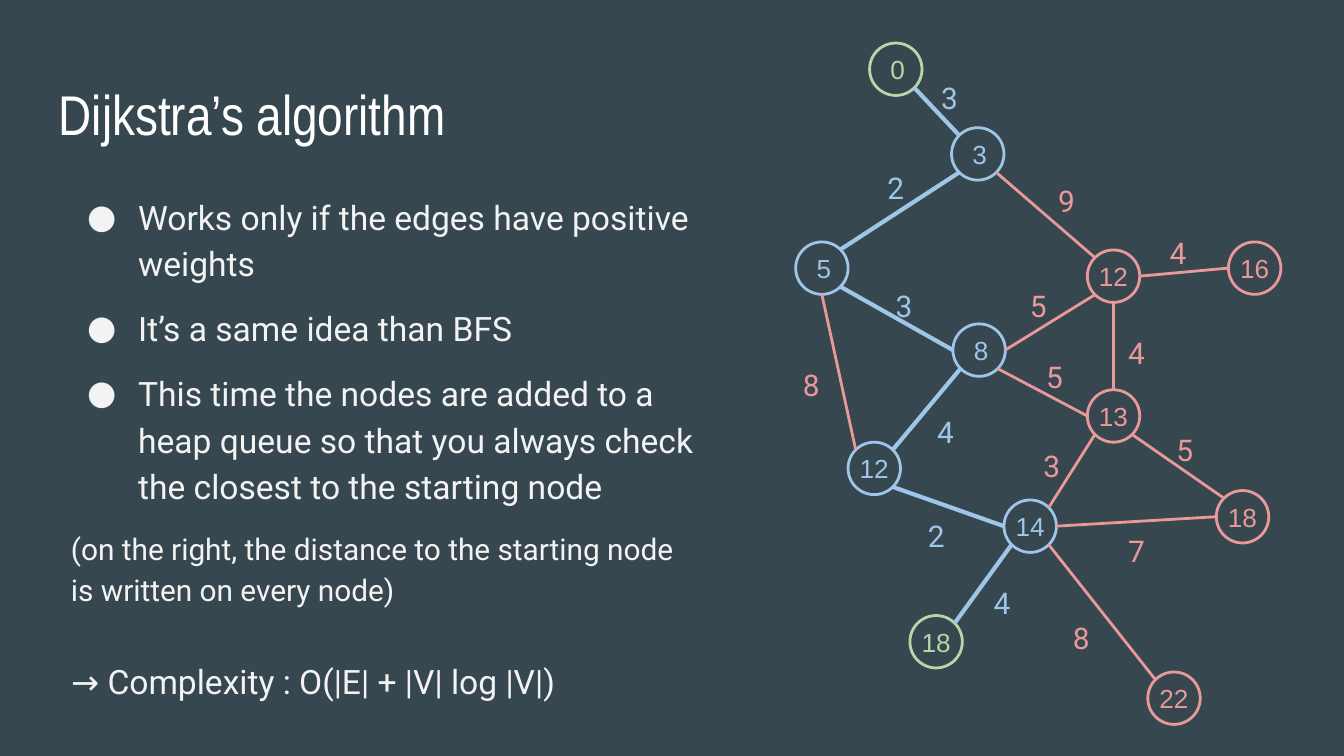
import math

from lxml import etree
from pptx import Presentation
from pptx import util as u
from pptx.dml.color import RGBColor
from pptx.enum import shapes, text
from pptx.oxml import ns

SLATE = RGBColor(0x37, 0x47, 0x4F)
WHITE = RGBColor(0xFF, 0xFF, 0xFF)
PALE = RGBColor(0xF3, 0xF3, 0xF3)
BLUE = RGBColor(0x9F, 0xC5, 0xE8)
RED = RGBColor(0xEA, 0x99, 0x99)
GREEN = RGBColor(0xB6, 0xD7, 0xA8)

WIDTH = u.Inches(10)
HEIGHT = WIDTH * 9 // 16
CELL = WIDTH / 100
NODE_SIZE = 3.9
LABEL_SIZE = (4.9, 4.5)
INSET = 1

SITES = {"E": 0, "SE": 45, "S": 90, "SW": 135, "W": 180, "NW": 225, "N": 270, "NE": 315}

NODES = {
    "start": ("0", 64.7, 3.2, GREEN),
    "three": ("3", 70.8, 9.5, BLUE),
    "five": ("5", 59.2, 18, BLUE),
    "eight": ("8", 70.9, 24.1, BLUE),
    "lower twelve": ("12", 63.1, 32.9, BLUE),
    "fourteen": ("14", 74.7, 37.2, BLUE),
    "goal": ("18", 67.7, 45.8, GREEN),
    "upper twelve": ("12", 80.9, 18.6, RED),
    "sixteen": ("16", 91.4, 18, RED),
    "thirteen": ("13", 80.9, 29, RED),
    "eighteen": ("18", 90.5, 36.5, RED),
    "twenty-two": ("22", 85.4, 50, RED),
}

EDGES = [
    ("start", "SE", "three", "NW", BLUE, "3", 68.2, 4.5),
    ("five", "NE", "three", "SW", BLUE, "2", 64.2, 11.2),
    ("five", "SE", "eight", "W", BLUE, "3", 64.8, 20),
    ("eight", "SW", "lower twelve", "NE", BLUE, "4", 67.9, 29.4),
    ("lower twelve", "SE", "fourteen", "W", BLUE, "2", 67.2, 37.1),
    ("goal", "NE", "fourteen", "SW", BLUE, "4", 72.1, 42.1),
    ("five", "S", "lower twelve", "NW", RED, "8", 57.9, 25.9),
    ("upper twelve", "NW", "three", "SE", RED, "9", 76.9, 12.2),
    ("upper twelve", "E", "sixteen", "W", RED, "4", 85.2, 16.1),
    ("eight", "E", "upper twelve", "SW", RED, "5", 74.8, 20),
    ("eight", "SE", "thirteen", "W", RED, "5", 76, 25.3),
    ("thirteen", "N", "upper twelve", "S", RED, "4", 82.1, 23.5),
    ("fourteen", "NE", "thirteen", "SW", RED, "3", 75.8, 31.9),
    ("thirteen", "SE", "eighteen", "NW", RED, "5", 85.7, 30.7),
    ("fourteen", "E", "eighteen", "W", RED, "7", 82.1, 38.2),
    ("twenty-two", "NW", "fourteen", "SE", RED, "8", 78, 44.7),
]

POINTS = [
    "Works only if the edges have positive weights",
    "It’s a same idea than BFS",
    "This time the nodes are added to a heap queue so that you always check the closest to the starting node",
]
REMARK = "(on the right, the distance to the starting node is written on every node)"


def grid(*cells):
    return [round(cell * CELL) for cell in cells]


def set_frame(frame, side=INSET):
    frame.word_wrap = True
    frame.margin_left = frame.margin_right = grid(side)[0]
    frame.margin_top = frame.margin_bottom = grid(INSET)[0]


def write(para, words, size, color, face="Roboto", align=text.PP_ALIGN.LEFT):
    para.text = words
    para.alignment = align
    para.font.size = u.Pt(size)
    para.font.name = face
    para.font.color.rgb = color


def add_text(page, place, words, size, color, face="Roboto", align=text.PP_ALIGN.LEFT, spacing=1.15):
    frame = page.shapes.add_textbox(*grid(*place)).text_frame
    set_frame(frame)
    para = frame.paragraphs[0]
    write(para, words, size, color, face, align)
    para.line_spacing = spacing
    return para


def add_bullet(para):
    props = para._p.get_or_add_pPr()
    props.set("marL", str(u.Inches(0.5)))
    props.set("indent", str(u.Inches(-0.38)))
    tint = etree.SubElement(props, ns.qn("a:buClr"))
    etree.SubElement(tint, ns.qn("a:srgbClr"), val=str(PALE))
    etree.SubElement(props, ns.qn("a:buFont"), typeface="Roboto")
    etree.SubElement(props, ns.qn("a:buChar"), char="●")


def add_points(page):
    frame = page.shapes.add_textbox(*grid(4.3, 13.2, 48.3, 33.3)).text_frame
    set_frame(frame)
    for index, words in enumerate(POINTS + [REMARK]):
        para = frame.add_paragraph() if index else frame.paragraphs[0]
        if words != REMARK:
            add_bullet(para)
        write(para, words, 16 if words == REMARK else 18, PALE)
        para.line_spacing = 1.15
        para.space_before = u.Pt(10 if index else 0)


def add_node(page, words, column, row, color):
    node = page.shapes.add_shape(shapes.MSO_SHAPE.OVAL, *grid(column, row, NODE_SIZE, NODE_SIZE))
    node.shadow.inherit = False
    node.fill.background()
    node.line.color.rgb = color
    node.line.width = u.Pt(1.5)
    single = len(words) == 1
    set_frame(node.text_frame, INSET if single else 0)
    node.text_frame.vertical_anchor = text.MSO_ANCHOR.MIDDLE
    align = text.PP_ALIGN.LEFT if single else text.PP_ALIGN.CENTER
    write(node.text_frame.paragraphs[0], words, 14, color, "Arial", align)


def rim_point(name, site):
    column, row = NODES[name][1:3]
    angle = math.radians(SITES[site])
    radius = NODE_SIZE / 2
    return grid(column + radius * (1 + math.cos(angle)), row + radius * (1 + math.sin(angle)))


def add_edge(page, tail, tail_site, head, head_site, color, weight, column, row):
    edge = page.shapes.add_connector(
        shapes.MSO_CONNECTOR.STRAIGHT, *rim_point(tail, tail_site), *rim_point(head, head_site)
    )
    edge.line.color.rgb = color
    edge.line.width = u.Pt(2.25 if color == BLUE else 1.5)
    etree.SubElement(edge._element.spPr, ns.qn("a:effectLst"))
    add_text(page, (column, row, *LABEL_SIZE), weight, 16, color, align=text.PP_ALIGN.CENTER)


def main():
    deck = Presentation()
    deck.slide_width, deck.slide_height = WIDTH, HEIGHT
    page = deck.slides.add_slide(deck.slide_layouts[6])
    page.background.fill.solid()
    page.background.fill.fore_color.rgb = SLATE

    add_text(page, (3.4, 4.9, 47.6, 6.3), "Dijkstra’s algorithm", 30, WHITE, "Arial Narrow", spacing=1)
    add_points(page)
    for node in NODES.values():
        add_node(page, *node)
    for edge in EDGES:
        add_edge(page, *edge)
    complexity = add_text(page, (4.3, 47.7, 54.9, 5.8), "→ Complexity : O(|E| + |V| log |V|)", 18, PALE)
    complexity.space_after = u.Pt(16)

    deck.save("out.pptx")


if __name__ == "__main__":
    main()
